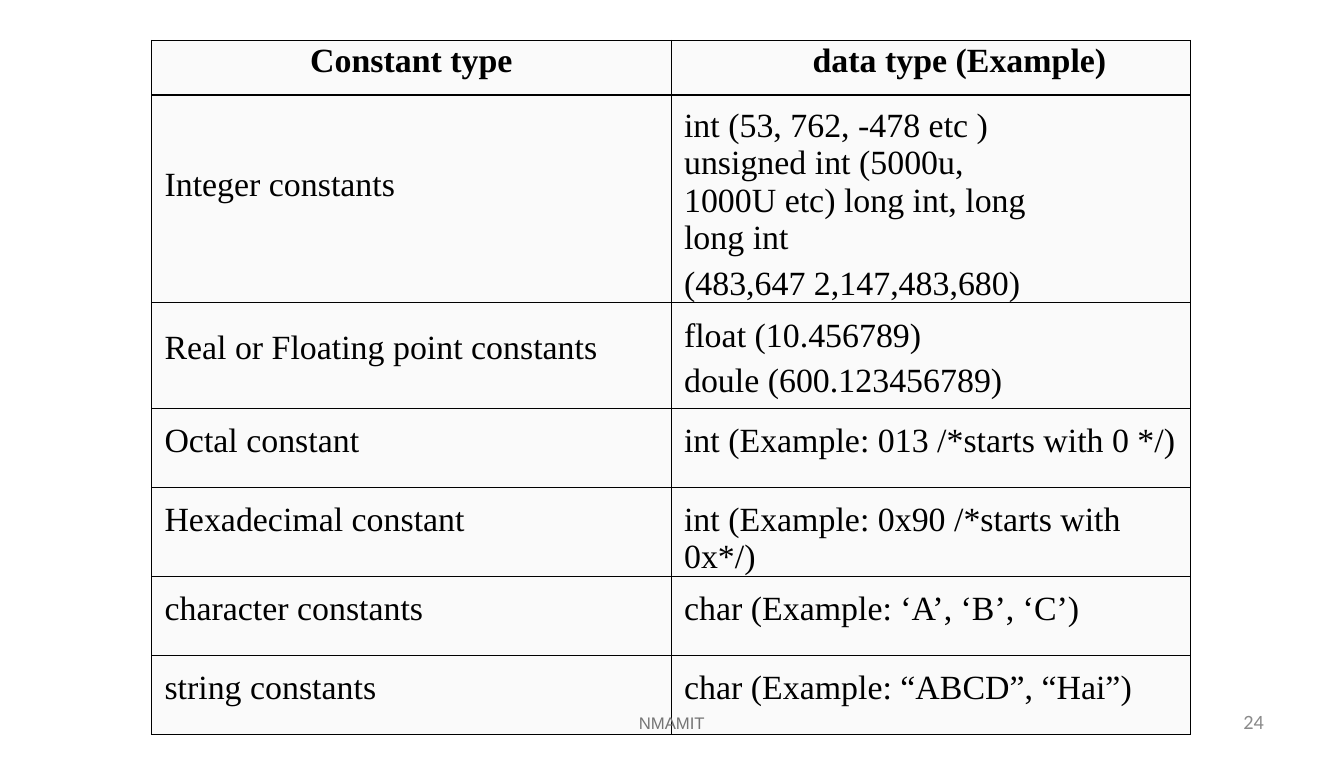
"""Slide with a table of C constant types and their data types."""
from lxml import etree
from pptx import Presentation
from pptx.dml.color import RGBColor
from pptx.enum import text
from pptx.oxml import ns
from pptx.util import Cm, Pt

COLORS = {"ink": "000000", "cell": "FAFAFA", "number": "8A8A8A", "footer": "757575"}
CM_PER_INCH = 2.54
INDENT = 0.27


def style(paragraph, face, size, color, bold=False):
    font = paragraph.font
    font.name, font.size, font.bold = face, Pt(size), bold
    font.color.rgb = RGBColor.from_string(COLORS[color])


def add_border(cell, side):
    line = etree.SubElement(cell._tc.get_or_add_tcPr(), ns.qn(f"a:{side}"), w=str(Pt(0.75)))
    fill = etree.SubElement(line, ns.qn("a:solidFill"))
    etree.SubElement(fill, ns.qn("a:srgbClr"), val=COLORS["ink"])


deck = Presentation()
deck.slide_width = Cm(11.03 * CM_PER_INCH)
deck.slide_height = Cm(6.21 * CM_PER_INCH)
slide = deck.slides.add_slide(deck.slide_layouts[6])

constants = [
    (1.14, (0.03, 0, [("Constant type", 1)]), (0.03, 0, [("data type (Example)", 1)])),
    (4.11, (1.48, 0, [("Integer constants", 1)]),
     (0.25, 2.9, [("int (53, 762, -478 etc )", 1),
                  ("unsigned int (5000u, 1000U etc) long int, long long int", 1),
                  ("(483,647 2,147,483,680)", 1.2)])),
    (2.21, (0.56, 0, [("Real or Floating point constants", 1)]),
     (0.15, 0, [("float (10.456789)", 1.2), ("doule (600.123456789)", 1.2)])),
]
for constant, example in [
    ("Octal constant", "int (Example: 013 /*starts with 0 */)"),
    ("Hexadecimal constant", "int (Example: 0x90 /*starts with 0x*/)"),
    ("character constants", "char (Example: ‘A’, ‘B’, ‘C’)"),
    ("string constants", "char (Example: “ABCD”, “Hai”)"),
]:
    constants.append((1.65, (0.28, 0, [(constant, 1)]), (0.28, 0, [(example, 1)])))

table = slide.shapes.add_table(
    len(constants), 2, Cm(3.16), Cm(0.84), Cm(21.66), Cm(14.06)).table
for column in table.columns:
    column.width = Cm(10.83)

for r, (height, *entries) in enumerate(constants):
    table.rows[r].height = Cm(height)
    for c, (top, right, lines) in enumerate(entries):
        cell = table.cell(r, c)
        for side in ("lnL", "lnR", "lnT", "lnB"):
            add_border(cell, side)
        cell.fill.solid()
        cell.fill.fore_color.rgb = RGBColor.from_string(COLORS["cell"])
        cell.margin_left = Cm(INDENT if r else 2.95 * c)
        cell.margin_top, cell.margin_right, cell.margin_bottom = Cm(top), Cm(right), 0
        cell.text_frame.text = "\n".join(line for line, spacing in lines)
        for paragraph, (line, spacing) in zip(cell.text_frame.paragraphs, lines):
            paragraph.line_spacing = spacing
            if r == 0 and c == 0:
                paragraph.alignment = text.PP_ALIGN.CENTER
            style(paragraph, "Times New Roman", 20, "ink", bold=r == 0)

for words, left, top, width, height, face, size, color, align in [
    ("24", 25.92, 14.74, 0.7, 0.58, "Calibri", 12, "number", text.PP_ALIGN.LEFT),
    ("NMAMIT", 9.28, 14.64, 9.45, 0.84, "Arial", 9.9, "footer", text.PP_ALIGN.CENTER),
]:
    frame = slide.shapes.add_textbox(Cm(left), Cm(top), Cm(width), Cm(height)).text_frame
    frame.word_wrap = True
    frame.margin_left = frame.margin_right = frame.margin_top = frame.margin_bottom = 0
    frame.vertical_anchor = text.MSO_ANCHOR.MIDDLE
    frame.text = words
    frame.paragraphs[0].alignment = align
    style(frame.paragraphs[0], face, size, color)

deck.save("out.pptx")
